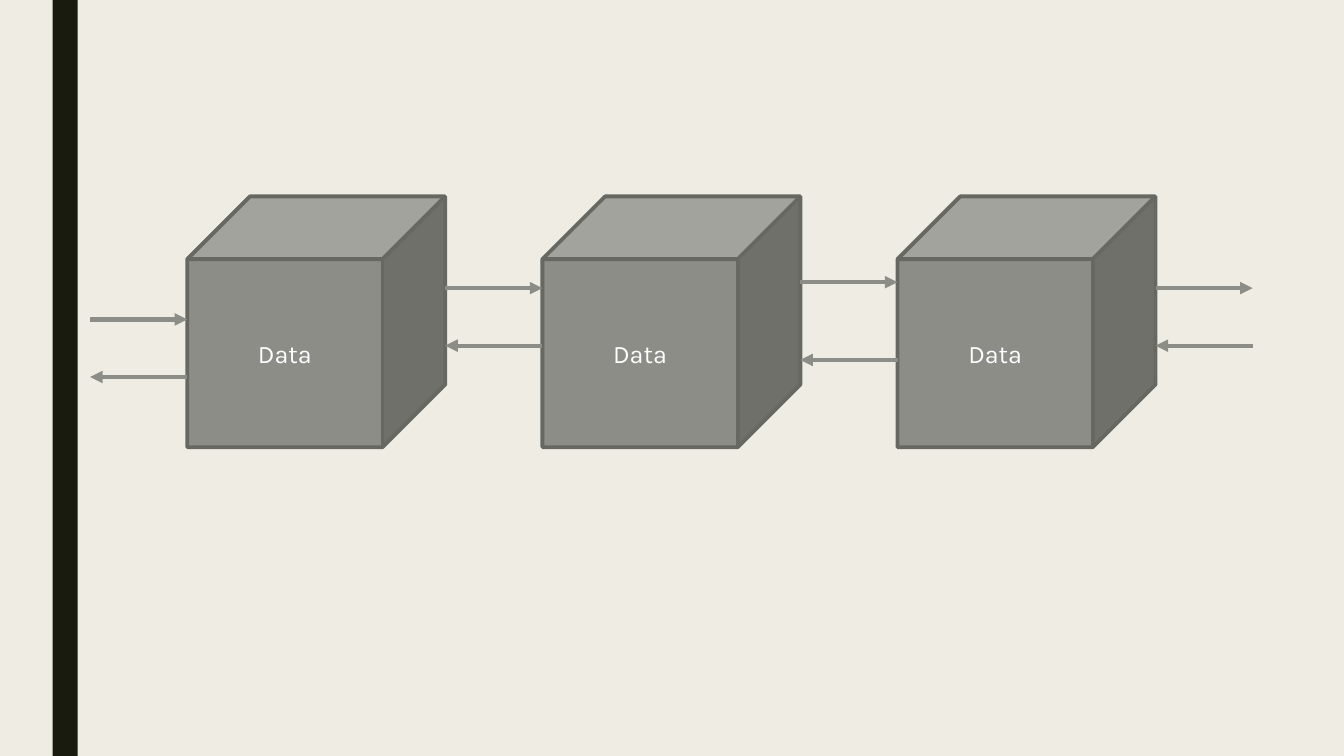
from dataclasses import dataclass

from pptx import Presentation
from pptx.dml.color import RGBColor as Rgb
from pptx.enum.shapes import MSO_CONNECTOR as Link, MSO_SHAPE as Kind
from pptx.enum.text import MSO_ANCHOR as Anchor, PP_ALIGN as Align
from pptx.oxml.ns import qn
from pptx.oxml.xmlchemy import OxmlElement as Node
from pptx.shapes.autoshape import Shape
from pptx.slide import Slide
from pptx.util import Cm, Pt


@dataclass(frozen=True)
class Theme:
    back: Rgb = Rgb(0xEF, 0xED, 0xE3)
    bar: Rgb = Rgb(0x19, 0x1B, 0x0E)
    face: Rgb = Rgb(0x8C, 0x8D, 0x86)
    edge: Rgb = Rgb(0x68, 0x68, 0x63)
    text: Rgb = Rgb(0xFF, 0xFF, 0xFF)
    font: str = "Karla"
    size: float = 18
    rim: float = 2.75
    stroke: float = 3


@dataclass(frozen=True)
class Box:
    left: float
    top: float
    width: float
    height: float


@dataclass(frozen=True)
class Pair:
    """Heights of the right and left arrows in one gap."""
    ahead: float
    back: float


THEME = Theme()
WIDE, HIGH = 33.87, 19.05
BAR = Box(1.33, 0, 0.63, HIGH)
FIRST = Box(4.72, 4.95, 6.5, 6.32)
GAP = 2.45
PITCH = FIRST.width + GAP
LABELS = ["Data"] * 3
PAIRS = [Pair(8.05, 9.5), Pair(7.26, 8.71), Pair(7.11, 9.07), Pair(7.26, 8.71)]


def add_solid(slide: Slide, kind: Kind, box: Box, fill: Rgb) -> Shape:
    shape = slide.shapes.add_shape(
        kind, Cm(box.left), Cm(box.top), Cm(box.width), Cm(box.height))
    shape.shadow.inherit = False
    shape.fill.solid()
    shape.fill.fore_color.rgb = fill
    return shape


def add_bar(slide: Slide) -> None:
    bar = add_solid(slide, Kind.RECTANGLE, BAR, THEME.bar)
    bar.line.fill.background()


def add_cube(slide: Slide, left: float, label: str) -> None:
    box = Box(left, FIRST.top, FIRST.width, FIRST.height)
    cube = add_solid(slide, Kind.CUBE, box, THEME.face)
    cube.line.color.rgb = THEME.edge
    cube.line.width = Pt(THEME.rim)
    frame = cube.text_frame
    frame.vertical_anchor = Anchor.MIDDLE
    para = frame.paragraphs[0]
    para.alignment = Align.CENTER
    run = para.add_run()
    run.text = label
    style = {"name": THEME.font, "size": Pt(THEME.size)}
    for key, value in style.items():
        setattr(run.font, key, value)
    run.font.color.rgb = THEME.text


def add_arrow(slide: Slide, left: float, top: float, end: str) -> None:
    """Draw a level arrow; end is headEnd (left tip) or tailEnd (right tip)."""
    arrow = slide.shapes.add_connector(
        Link.STRAIGHT, Cm(left), Cm(top), Cm(left + GAP), Cm(top))
    arrow.line.color.rgb = THEME.face
    arrow.line.width = Pt(THEME.stroke)
    tip = Node(f"a:{end}")
    tip.set("type", "triangle")
    props = arrow._element.spPr
    props.find(qn("a:ln")).append(tip)
    props.append(Node("a:effectLst"))


def main() -> None:
    deck = Presentation()
    deck.slide_width, deck.slide_height = Cm(WIDE), Cm(HIGH)
    slide = deck.slides.add_slide(deck.slide_layouts.get_by_name("Blank"))
    fill = slide.background.fill
    fill.solid()
    fill.fore_color.rgb = THEME.back
    add_bar(slide)
    for step, label in enumerate(LABELS):
        add_cube(slide, FIRST.left + step * PITCH, label)
    for step, pair in enumerate(PAIRS):
        left = FIRST.left - GAP + step * PITCH
        add_arrow(slide, left, pair.ahead, "tailEnd")
        add_arrow(slide, left, pair.back, "headEnd")
    deck.save("out.pptx")


if __name__ == "__main__":
    main()
